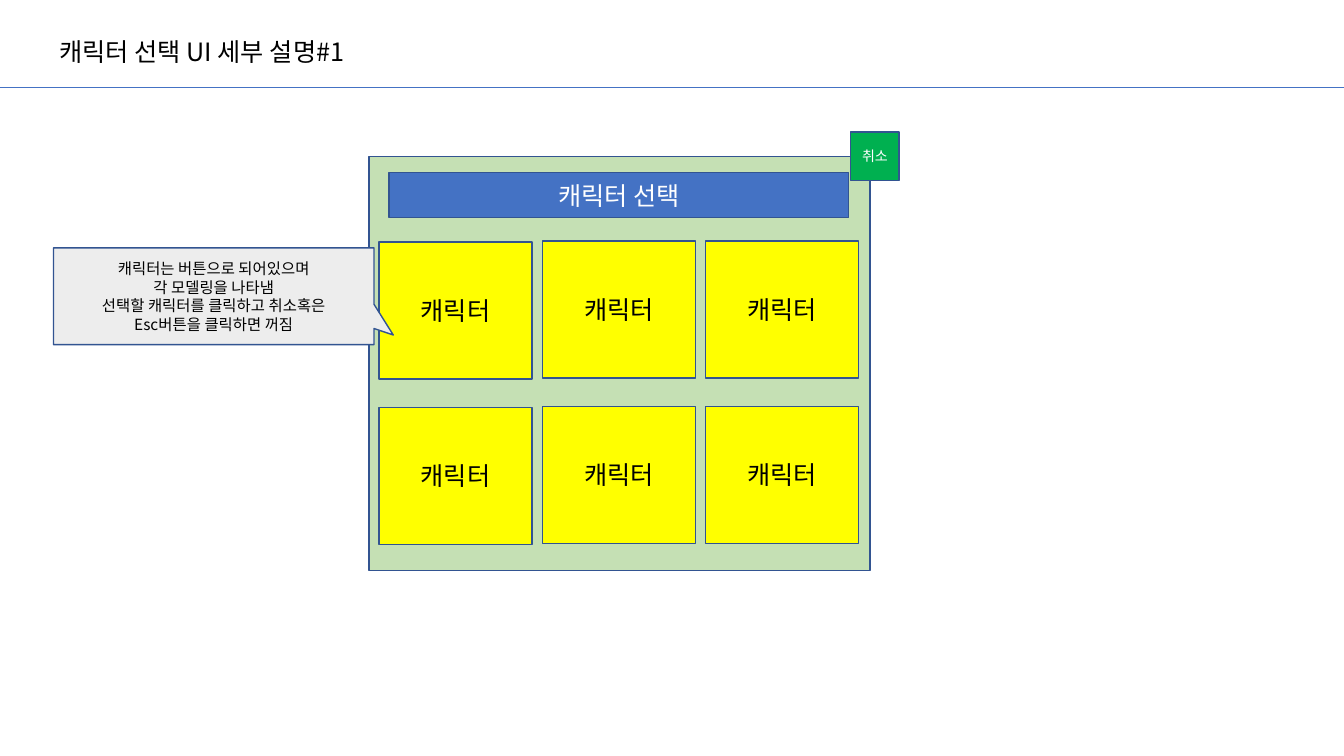
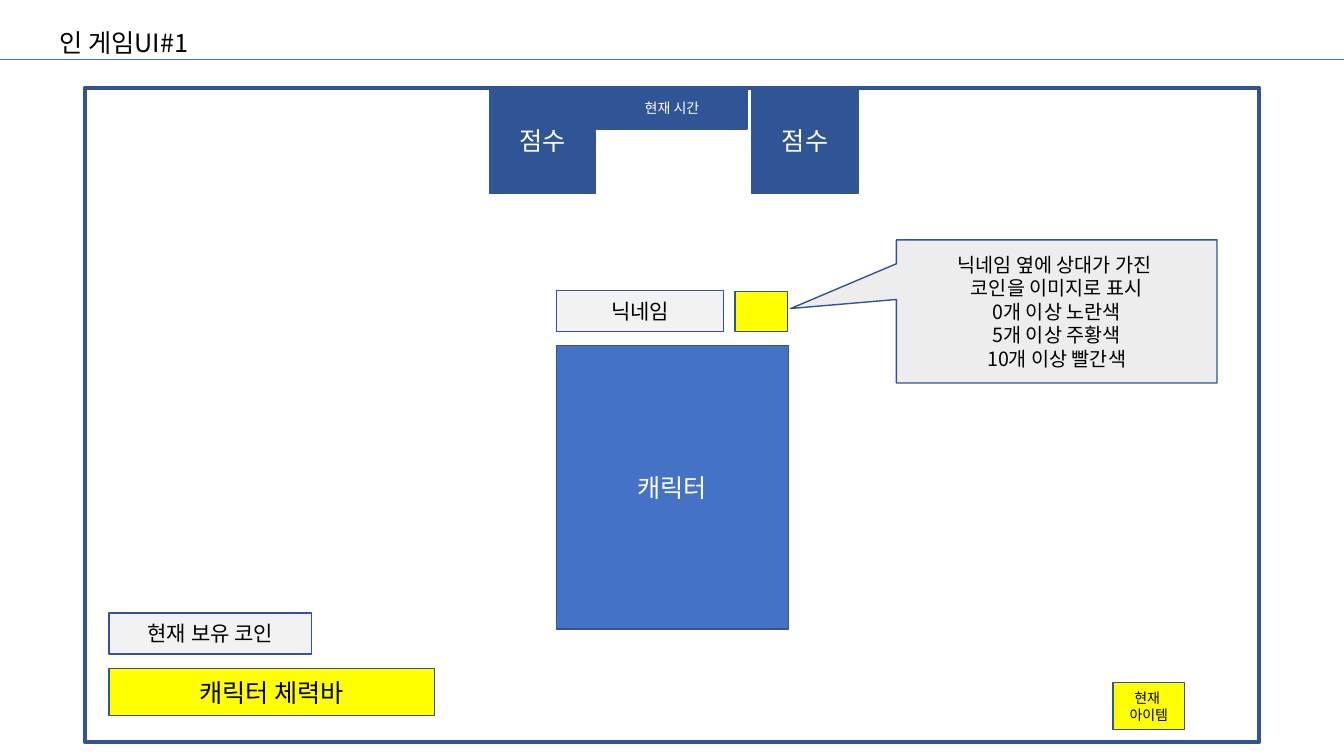
"""Build two game interface slides: character selection and the in-game screen."""
from dataclasses import dataclass
from itertools import product

from lxml import etree
from pptx import Presentation
from pptx import util as u
from pptx.dml.color import RGBColor
from pptx.enum import shapes, text
from pptx.oxml import ns


@dataclass(frozen=True)
class Theme:
    font: str = "Noto Sans CJK KR"
    ink: str = "000000"
    white: str = "FFFFFF"
    outline: str = "325491"
    blue: str = "4472C4"
    navy: str = "2F5597"
    yellow: str = "FFFF00"
    green: str = "00B050"
    sage: str = "C5E0B4"
    pale: str = "F2F2F2"
    note: str = "EDEDED"
    large: int = 18
    label: int = 15
    body: int = 14
    detail: int = 11
    small: int = 10
    hairline: float = 0.5
    border: float = 1
    frame: float = 3


THEME = Theme()
WIDTH, HEIGHT = u.Inches(13.33), u.Inches(7.5)
TITLE_LEFT, TITLE_HEIGHT = 3.68, 5.33

# Every box is left, top, width, height in percent of the slide.
CARD_LEFTS = [28.2 + 12.15 * column for column in range(3)]
CARD_DROPS = [0.13, 0, 0]
CARD_TOPS = [31.87 + 21.87 * row for row in range(2)]
CARD_SIZE = (11.4, 18.13)
CARDS = [
    ((left, top + drop, *CARD_SIZE), ["캐릭터"], THEME.yellow, THEME.large, THEME.ink)
    for top, (left, drop) in product(CARD_TOPS, zip(CARD_LEFTS, CARD_DROPS))
]
SCORES = [
    ((left, 11.6, 7.9, 14), ["점수"], THEME.navy, THEME.large, THEME.white)
    for left in (36.4, 55.95)
]

SLIDES = [
    {
        "title": ("캐릭터 선택 UI 세부 설명#1", 4.13, 25.28),
        "rule": 11.6,
        "panel": ((27.45, 20.67, 37.28, 54.8), THEME.sage, THEME.border),
        "boxes": [
            ((28.95, 22.8, 34.2, 6), ["캐릭터 선택"], THEME.blue, THEME.large, THEME.white),
            ((63.3, 17.47, 3.6, 6.4), ["취소"], THEME.green, THEME.small, THEME.white),
            *CARDS,
        ],
        "callout": (
            (3.98, 32.8, 23.85, 12.8),
            ["캐릭터는 버튼으로 되어있으며", "각 모델링을 나타냄",
             "선택할 캐릭터를 클릭하고 취소혹은", "Esc버튼을 클릭하면 꺼짐"],
            THEME.detail, (0.56, 0.4),
        ),
    },
    {
        "title": ("인 게임UI#1", 2.93, 11.93),
        "rule": 7.87,
        "panel": ((6.3, 11.6, 87.4, 86.53), THEME.white, THEME.frame),
        "boxes": [
            ((8.1, 88.4, 24.23, 6.27), ["캐릭터 체력바"], THEME.yellow, THEME.large, THEME.ink),
            ((82.8, 90.27, 5.35, 6.27), ["현재 ", "아이템"], THEME.yellow, THEME.small, THEME.ink),
            ((41.4, 45.73, 17.25, 37.47), ["캐릭터"], THEME.blue, THEME.large, THEME.white),
            ((41.4, 38.4, 12.45, 5.47), ["닉네임"], THEME.pale, THEME.label, THEME.ink),
            *SCORES,
            ((44.4, 11.6, 11.2, 5.47), ["현재 시간"], THEME.navy, THEME.small, THEME.white),
            ((8.1, 81.07, 15.1, 5.47), ["현재 보유 코인"], THEME.pale, THEME.label, THEME.ink),
            ((54.7, 38.53, 3.9, 5.33), [], THEME.yellow, THEME.large, THEME.ink),
        ],
        "callout": (
            (66.7, 31.73, 23.85, 18.93),
            ["닉네임 옆에 상대가 가진 ", "코인을 이미지로 표시",
             "0개 이상 노란색", "5개 이상 주황색", "10개 이상 빨간색"],
            THEME.body, (-0.83, -0.02),
        ),
    },
]


def place(box):
    left, top, width, height = box
    return (round(WIDTH * left / 100), round(HEIGHT * top / 100),
            round(WIDTH * width / 100), round(HEIGHT * height / 100))


def write(frame, lines, size, color, align):
    for index, line in enumerate(lines):
        paragraph = frame.add_paragraph() if index else frame.paragraphs[0]
        paragraph.text = line
        paragraph.alignment = align
        paragraph.font.size = u.Pt(size)
        paragraph.font.name = THEME.font
        paragraph.font.color.rgb = RGBColor.from_string(color)
        defaults = paragraph._p.pPr.find(ns.qn("a:defRPr"))
        etree.SubElement(defaults, ns.qn("a:ea"), typeface=THEME.font)


def add_box(slide, box, lines, fill, size, color,
            border=THEME.border, kind=shapes.MSO_SHAPE.RECTANGLE):
    shape = slide.shapes.add_shape(kind, *place(box))
    shape.shadow.inherit = False
    shape.fill.solid()
    shape.fill.fore_color.rgb = RGBColor.from_string(fill)
    shape.line.color.rgb = RGBColor.from_string(THEME.outline)
    shape.line.width = u.Pt(border)
    shape.text_frame.vertical_anchor = text.MSO_ANCHOR.MIDDLE
    write(shape.text_frame, lines, size, color, text.PP_ALIGN.CENTER)
    return shape


def add_callout(slide, box, lines, size, tip):
    callout = add_box(slide, box, lines, THEME.note, size, THEME.ink,
                      kind=shapes.MSO_SHAPE.RECTANGULAR_CALLOUT)
    callout.adjustments[0], callout.adjustments[1] = tip


def add_heading(slide, title, top, width, rule_share):
    heading = slide.shapes.add_textbox(*place((TITLE_LEFT, top, width, TITLE_HEIGHT)))
    heading.text_frame.word_wrap = False
    heading.text_frame.auto_size = text.MSO_AUTO_SIZE.SHAPE_TO_FIT_TEXT
    write(heading.text_frame, [title], THEME.large, THEME.ink, text.PP_ALIGN.LEFT)
    level = round(HEIGHT * rule_share / 100)
    rule = slide.shapes.add_connector(shapes.MSO_CONNECTOR.STRAIGHT, 0, level, WIDTH, level)
    rule.line.color.rgb = RGBColor.from_string(THEME.blue)
    rule.line.width = u.Pt(THEME.hairline)
    etree.SubElement(rule._element.spPr, ns.qn("a:effectLst"))


deck = Presentation()
deck.slide_width, deck.slide_height = WIDTH, HEIGHT
for content in SLIDES:
    slide = deck.slides.add_slide(deck.slide_layouts[6])
    add_heading(slide, *content["title"], content["rule"])
    area, fill, border = content["panel"]
    add_box(slide, area, [], fill, THEME.large, THEME.ink, border)
    for box in content["boxes"]:
        add_box(slide, *box)
    add_callout(slide, *content["callout"])
deck.save("out.pptx")
